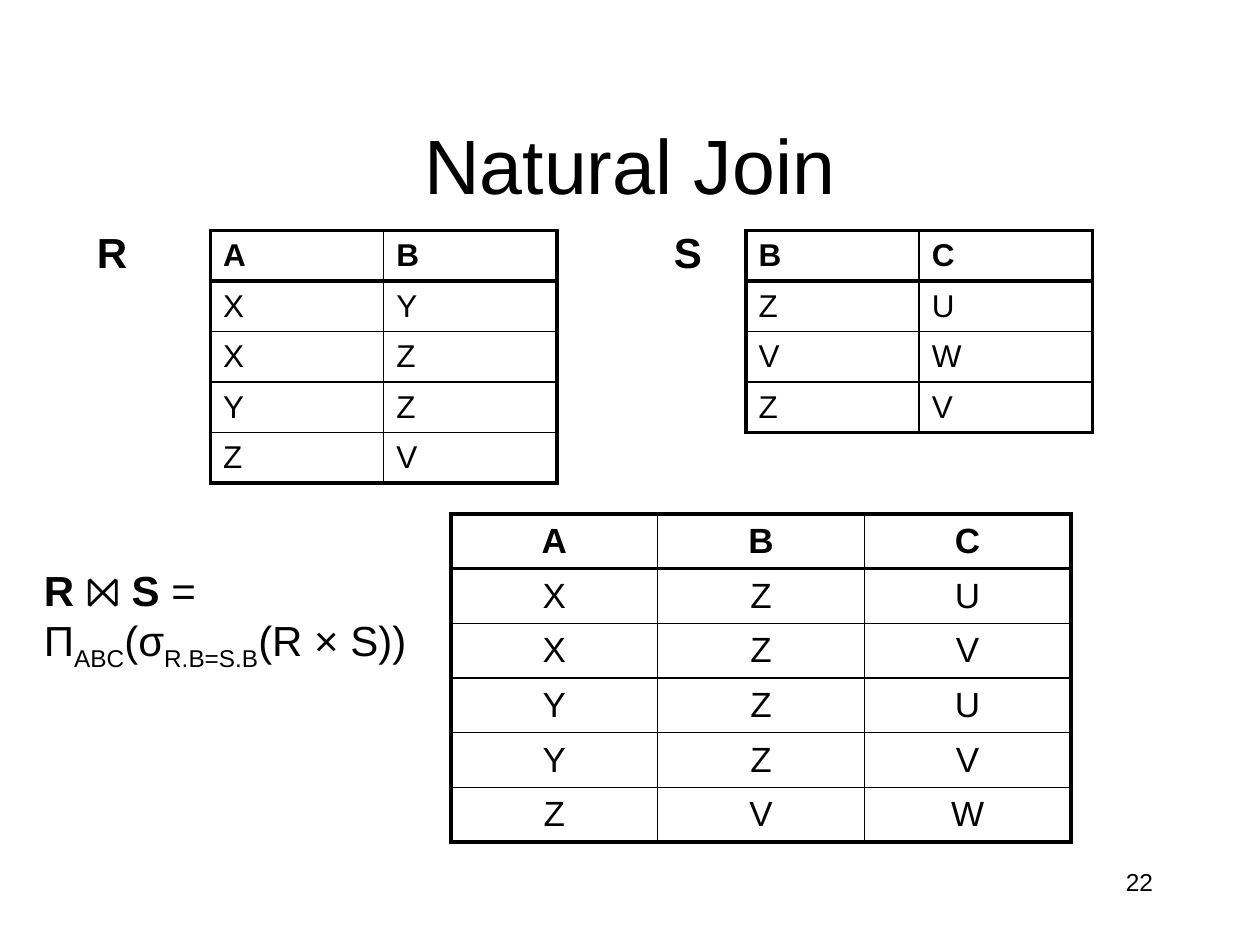
import pptx
import pptx.dml.color
import pptx.enum.text
import pptx.oxml
import pptx.oxml.ns
import pptx.util

Inches = pptx.util.Inches
Pt = pptx.util.Pt
ALIGN = pptx.enum.text.PP_ALIGN
ANCHOR = pptx.enum.text.MSO_ANCHOR
INK = "000000"
THICK, THIN = 2.25, 1


def color(code):
    """Turn a hex string into a colour."""
    return pptx.dml.color.RGBColor.from_string(code)


def style(font, size, **more):
    """Apply the shared font and the given format values."""
    for name, value in {"name": "Arial", "size": Pt(size), "bold": False, **more}.items():
        setattr(font, name, value)
    font.color.rgb = color(INK)


def text(slide, box, lines, size, align=ALIGN.LEFT, anchor=ANCHOR.TOP, wrap=True):
    """Place lines of (words, bold, sub) runs in a box."""
    frame = slide.shapes.add_textbox(*map(Inches, box)).text_frame
    frame.word_wrap = wrap
    frame.vertical_anchor = anchor
    for index, line in enumerate(lines):
        para = frame.add_paragraph() if index else frame.paragraphs[0]
        para.alignment = align
        for words, bold, sub in line:
            run = para.add_run()
            run.text = words
            style(run.font, size, bold=bold)
            if sub:
                run._r.get_or_add_rPr().set("baseline", "-25000")


def edge(cell, side, width):
    """Draw one border of a cell."""
    space = pptx.oxml.ns.nsdecls("a")
    cell._tc.get_or_add_tcPr().append(pptx.oxml.parse_xml(
        f'<a:ln{side} {space} w="{Pt(width)}"><a:solidFill>'
        f'<a:srgbClr val="{INK}"/></a:solidFill></a:ln{side}>'))


def table(slide, box, rows, heights, size, align=ALIGN.LEFT):
    """Place a relation with a heavy frame and a ruled header."""
    count, width = len(rows), len(rows[0])
    grid = slide.shapes.add_table(count, width, *map(Inches, box)).table
    grid.first_row = grid.horz_banding = False
    for row, height in zip(grid.rows, heights):
        row.height = Inches(height)
    for top, row in enumerate(rows):
        for left, word in enumerate(row):
            cell = grid.cell(top, left)
            cell.text = word
            cell.vertical_anchor = ANCHOR.MIDDLE
            para = cell.text_frame.paragraphs[0]
            para.alignment = align
            style(para.runs[0].font, size, bold=top == 0)
            heavy = {"L": left == 0, "R": left == width - 1,
                     "T": top <= 1, "B": top in (0, count - 1)}
            for side, thick in heavy.items():
                edge(cell, side, THICK if thick else THIN)
            cell.fill.background()


def inputs(slide, top):
    """Place the two named relations side by side."""
    for name, spot, left, rows, heights in (
            ("R", 0.67, 1.67, ["AB", "XY", "XZ", "YZ", "ZV"], [0.38, 0.38, 0.38, 0.4, 0.38]),
            ("S", 5.25, 5.92, ["BC", "ZU", "VW", "ZV"], [0.38] * 4)):
        text(slide, (spot, top - 0.08, 0.44, 0.5), [[(name, True, False)]], 24, wrap=False)
        table(slide, (left, top, 2.75, sum(heights)), rows, heights, 18)


def result(slide, left, top):
    """Place the join formula and its resulting relation."""
    text(slide, (left, top + 0.35, 3.49, 0.9), [
        [("R ", True, False), ("⨝ ", False, False), ("S", True, False), (" =", False, False)],
        [("Π", False, False), ("ABC", False, True), ("(σ", False, False),
         ("R.B=S.B", False, True), ("(R × S))", False, False)]], 24, wrap=False)
    heights = [0.41, 0.41, 0.41, 0.41, 0.43, 0.41]
    table(slide, (left + 3.33, top, 4.92, sum(heights)),
          ["ABC", "XZU", "XZV", "YZU", "YZV", "ZVW"], heights, 20, ALIGN.CENTER)


def main():
    """Build the slide and save it."""
    deck = pptx.Presentation()
    deck.slide_width, deck.slide_height = Inches(10), Inches(7.5)
    slide = deck.slides.add_slide(deck.slide_layouts[6])
    text(slide, (0.75, 0.67, 8.5, 1.25), [[("Natural Join", False, False)]], 44,
         ALIGN.CENTER, ANCHOR.MIDDLE)
    inputs(slide, 1.83)
    result(slide, 0.25, 4.08)
    text(slide, (7.17, 6.83, 2.08, 0.5), [[("22", False, False)]], 14, ALIGN.RIGHT)
    deck.save("out.pptx")


if __name__ == "__main__":
    main()
